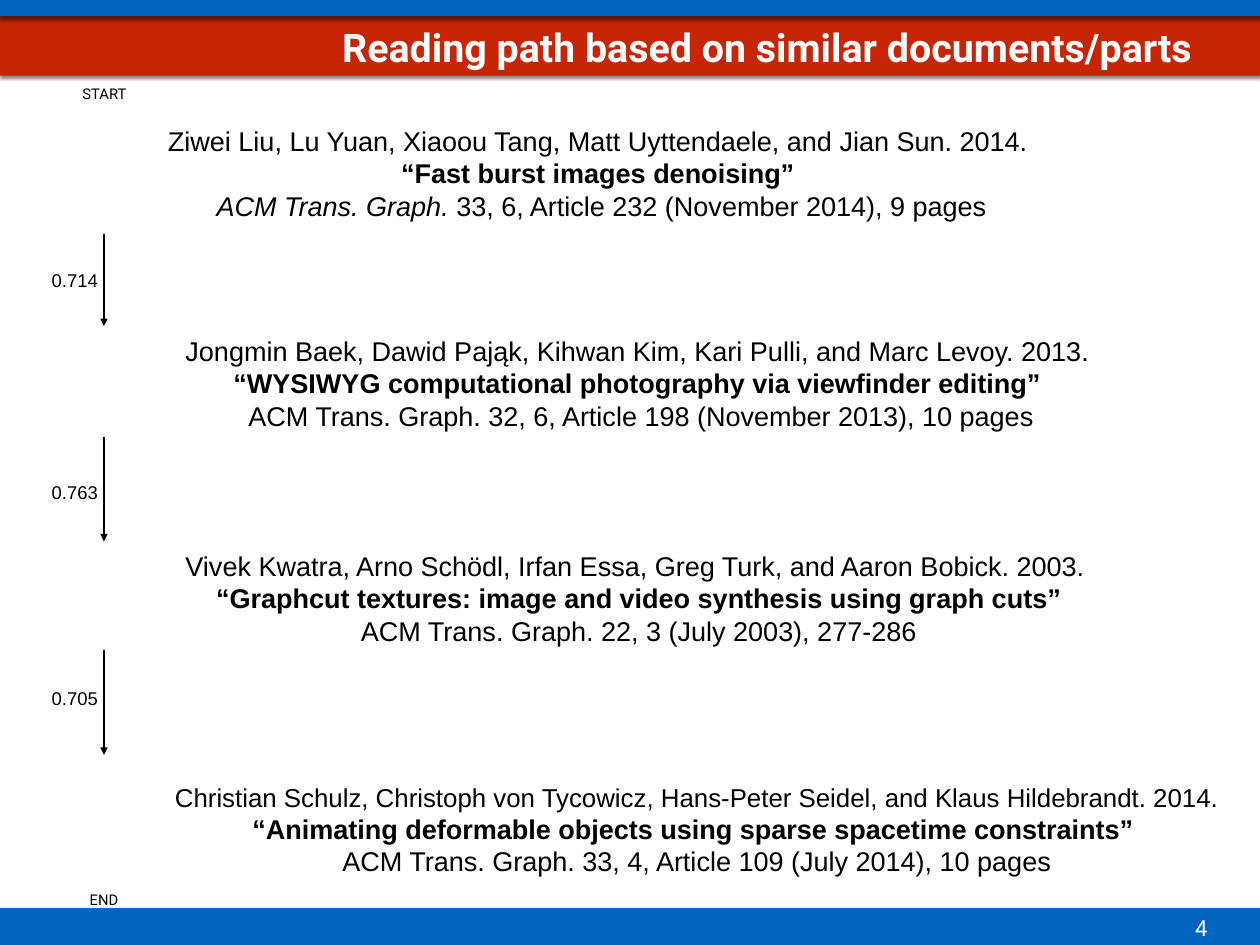
from dataclasses import dataclass

import lxml.etree
import pptx
import pptx.dml.color
import pptx.enum.shapes
import pptx.enum.text
import pptx.oxml
import pptx.oxml.ns
import pptx.util

Pt = pptx.util.Pt
ALIGN = pptx.enum.text.PP_ALIGN
ANCHOR = pptx.enum.text.MSO_ANCHOR

COLORS = {"red": "C82506", "blue": "0365C0", "white": "FFFFFF", "black": "000000"}
WIDTH, HEIGHT = 1024, 768
INSET = 4.3
ARROW_X = 84.5
SCORE_LEFT, SCORE_WIDTH, SCORE_HEIGHT = 37.4, 46.8, 24.5


@dataclass
class Frame:
    left: float
    top: float
    width: float
    height: float

    def lengths(self) -> tuple:
        return Pt(self.left), Pt(self.top), Pt(self.width), Pt(self.height)


@dataclass
class Bar:
    frame: Frame
    color: str


@dataclass
class Citation:
    frame: Frame
    authors: str
    title: str
    journal: str
    details: str
    authors_size: float = 22
    journal_italic: bool = False
    wrap: bool = False


@dataclass
class Step:
    score: str
    score_top: float
    start: float
    end: float


@dataclass
class Label:
    text: str
    frame: Frame
    size: float
    color: str = "black"
    anchor: ANCHOR = ANCHOR.MIDDLE


@dataclass
class Span:
    text: str
    size: float
    font: str = "Arial"
    color: str = "black"
    bold: bool = False
    italic: bool = False


BARS = [
    Bar(Frame(0, -2, WIDTH, 63.4), "red"),
    Bar(Frame(-1, -2, WIDTH + 2, 15), "blue"),
    Bar(Frame(0, 738, WIDTH, 31), "blue"),
]

CITATIONS = [
    Citation(Frame(128.2, 97.9, 721.4, 85),
             "Ziwei Liu, Lu Yuan, Xiaoou Tang, Matt Uyttendaele, and Jian Sun. 2014. ",
             "“Fast burst images denoising” ",
             "ACM Trans. Graph.", " 33, 6, Article 232 (November 2014), 9 pages",
             journal_italic=True),
    Citation(Frame(142.6, 268.6, 756.7, 85),
             "Jongmin Baek, Dawid Pająk, Kihwan Kim, Kari Pulli, and Marc Levoy. 2013. ",
             "“WYSIWYG computational photography via viewfinder editing” ",
             "ACM Trans. Graph.", " 32, 6, Article 198 (November 2013), 10 pages"),
    Citation(Frame(142.6, 443.5, 753.1, 85),
             "Vivek Kwatra, Arno Schödl, Irfan Essa, Greg Turk, and Aaron Bobick. 2003. ",
             "“Graphcut textures: image and video synthesis using graph cuts”",
             "ACM Trans. Graph.", " 22, 3 (July 2003), 277-286"),
    Citation(Frame(127.4, 632.2, 877.7, 83.5),
             " Christian Schulz, Christoph von Tycowicz, Hans-Peter Seidel, "
             "and Klaus Hildebrandt. 2014. ",
             "“Animating deformable objects using sparse spacetime constraints” ",
             "ACM Trans. Graph.", " 33, 4, Article 109 (July 2014), 10 pages",
             authors_size=21, wrap=True),
]

STEPS = [
    Step("0.714", 215.3, 190, 265),
    Step("0.763", 387.4, 355, 440),
    Step("0.705", 555.1, 528.5, 613.5),
]

LABELS = [
    Label("4", Frame(967, 738.7, 18.7, 30.2), 18, "white", ANCHOR.TOP),
    Label("START", Frame(62.6, 64.8, 44.6, 22.3), 12),
    Label("END", Frame(67.7, 720, 33.8, 22.3), 12),
]


def rgb(name: str) -> pptx.dml.color.RGBColor:
    return pptx.dml.color.RGBColor.from_string(COLORS[name])


def add_bar(page, bar: Bar) -> None:
    shape = page.shapes.add_shape(pptx.enum.shapes.MSO_SHAPE.RECTANGLE, *bar.frame.lengths())
    shape.fill.solid()
    shape.fill.fore_color.rgb = rgb(bar.color)
    shape.line.fill.background()
    shape.shadow.inherit = False
    effects = shape.element.spPr.find(pptx.oxml.ns.qn("a:effectLst"))
    effects.append(pptx.oxml.parse_xml(
        f'<a:outerShdw {pptx.oxml.ns.nsdecls("a")} blurRad="{Pt(3)}" dist="{Pt(2)}" '
        f'dir="5400000" rotWithShape="0"><a:srgbClr val="{COLORS["black"]}">'
        '<a:alpha val="50000"/></a:srgbClr></a:outerShdw>'))


def write_text(box, lines: list[list[Span]], align: ALIGN, anchor: ANCHOR,
               wrap: bool, auto_size: pptx.enum.text.MSO_AUTO_SIZE) -> None:
    """Fill a box with one paragraph for each list of spans."""
    frame = box.text_frame
    settings = {"word_wrap": wrap, "auto_size": auto_size, "vertical_anchor": anchor}
    settings |= {f"margin_{side}": Pt(INSET) for side in ("left", "top", "right", "bottom")}
    for name, value in settings.items():
        setattr(frame, name, value)
    for index, spans in enumerate(lines):
        para = frame.add_paragraph() if index else frame.paragraphs[0]
        para.alignment = align
        for span in spans:
            run = para.add_run()
            run.text = span.text
            formats = {"name": span.font, "size": Pt(span.size),
                       "bold": span.bold, "italic": span.italic}
            for name, value in formats.items():
                setattr(run.font, name, value)
            run.font.color.rgb = rgb(span.color)


def add_text(page, frame: Frame, lines: list[list[Span]],
             anchor: ANCHOR = ANCHOR.MIDDLE, wrap: bool = False) -> None:
    box = page.shapes.add_textbox(*frame.lengths())
    write_text(box, lines, ALIGN.CENTER, anchor, wrap,
               pptx.enum.text.MSO_AUTO_SIZE.SHAPE_TO_FIT_TEXT)


def place_title(page, text: str) -> None:
    """Format the title placeholder and bring it in front of the bars."""
    title = page.shapes.title
    title.left, title.top, title.width, title.height = Frame(159, 15.1, 815, 46).lengths()
    write_text(title, [[Span(text, 32, "Roboto", "white", bold=True)]], ALIGN.RIGHT,
               ANCHOR.MIDDLE, True, pptx.enum.text.MSO_AUTO_SIZE.NONE)
    title.element.getparent().append(title.element)


def add_citation(page, citation: Citation) -> None:
    add_text(page, citation.frame, [
        [Span(citation.authors, citation.authors_size)],
        [Span(citation.title, 22, bold=True)],
        [Span(citation.journal, 22, italic=citation.journal_italic),
         Span(citation.details, 22)],
    ], wrap=citation.wrap)


def add_step(page, step: Step) -> None:
    """Draw a downward arrow with its similarity score on the left."""
    arrow = page.shapes.add_connector(pptx.enum.shapes.MSO_CONNECTOR.STRAIGHT, Pt(ARROW_X),
                                      Pt(step.start), Pt(ARROW_X), Pt(step.end))
    arrow.line.width = Pt(2)
    arrow.line.color.rgb = rgb("black")
    line = arrow.line._get_or_add_ln()
    lxml.etree.SubElement(line, pptx.oxml.ns.qn("a:tailEnd"), type="triangle")
    lxml.etree.SubElement(arrow.element.spPr, pptx.oxml.ns.qn("a:effectLst"))
    add_text(page, Frame(SCORE_LEFT, step.score_top, SCORE_WIDTH, SCORE_HEIGHT),
             [[Span(step.score, 15)]])


def main() -> None:
    deck = pptx.Presentation()
    deck.slide_width, deck.slide_height = Pt(WIDTH), Pt(HEIGHT)
    page = deck.slides.add_slide(deck.slide_layouts.get_by_name("Title Only"))
    for bar in BARS:
        add_bar(page, bar)
    place_title(page, "Reading path based on similar documents/parts")
    for citation in CITATIONS:
        add_citation(page, citation)
    for step in STEPS:
        add_step(page, step)
    for label in LABELS:
        add_text(page, label.frame, [[Span(label.text, label.size, "Roboto", label.color)]],
                 label.anchor)
    deck.save("out.pptx")


if __name__ == "__main__":
    main()
